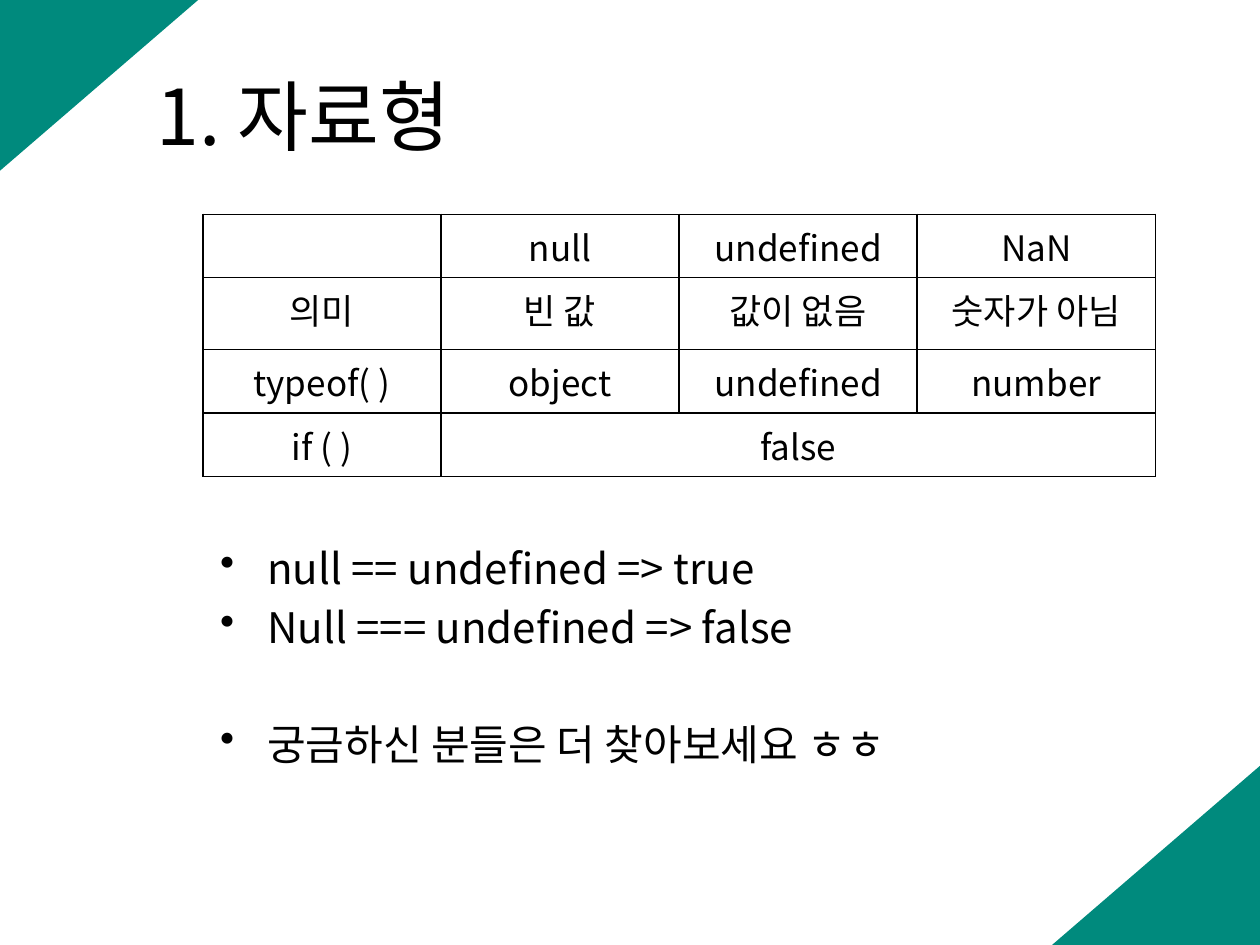
import pptx
import pptx.util
import pptx.dml.color
import pptx.enum.shapes
import pptx.enum.text
import pptx.oxml
import pptx.oxml.ns
import lxml.etree

Cm, Pt = pptx.util.Cm, pptx.util.Pt
qn = pptx.oxml.ns.qn
FONT = "Noto Sans CJK KR"


def color(value):
    return pptx.dml.color.RGBColor.from_string(value)


def write(p, text, size, align):
    p.text = text
    p.alignment = align
    p.font.size = Pt(size)
    p.font.name = FONT
    p.font.color.rgb = color("000000")
    props = p._p.pPr.find(qn("a:defRPr"))
    lxml.etree.SubElement(props, qn("a:ea")).set("typeface", FONT)


prs = pptx.Presentation()
prs.slide_width, prs.slide_height = Cm(25.4), Cm(19.05)
s = prs.slides.add_slide(prs.slide_layouts[5])
LEFT = pptx.enum.text.PP_ALIGN.LEFT
CENTER = pptx.enum.text.PP_ALIGN.CENTER

for x, y, flip in [(-0.1, -0.08, "flipV"), (21.21, 15.44, "flipH")]:
    sp = s.shapes.add_shape(pptx.enum.shapes.MSO_SHAPE.RIGHT_TRIANGLE,
                            Cm(x), Cm(y), Cm(4.19), Cm(3.61))
    sp._element.spPr.find(qn("a:xfrm")).set(flip, "1")
    sp.shadow.inherit = False
    sp.fill.solid()
    sp.fill.fore_color.rgb = color("008A7D")
    sp.line.fill.background()

title = s.shapes.title
title.left, title.top, title.width, title.height = Cm(2.9), Cm(1.32), Cm(15.19), Cm(1.98)
tf = title.text_frame
tf.vertical_anchor = pptx.enum.text.MSO_ANCHOR.MIDDLE
write(tf.paragraphs[0], "1. 자료형", 44, LEFT)

rows = [
    ["", "null", "undefined", "NaN"],
    ["의미", "빈 값", "값이 없음", "숫자가 아님"],
    ["typeof( )", "object", "undefined", "number"],
    ["if ( )", "false", "", ""],
]
table = s.shapes.add_table(4, 4, Cm(4.09), Cm(4.32), Cm(19.2), Cm(5.21)).table
table.first_row = table.horz_banding = False
for column in table.columns:
    column.width = Cm(4.8)
for row, height in zip(table.rows, [1.27, 1.45, 1.27, 1.27]):
    row.height = Cm(height)
table.cell(3, 1).merge(table.cell(3, 3))
for i, texts in enumerate(rows):
    for j, text in enumerate(texts):
        cell = table.cell(i, j)
        write(cell.text_frame.paragraphs[0], text, 20, CENTER)
        tc_pr = cell._tc.get_or_add_tcPr()
        for side in ["lnL", "lnR", "lnT", "lnB"]:
            ln = lxml.etree.SubElement(tc_pr, qn("a:" + side), w=str(Pt(1)))
            fill = lxml.etree.SubElement(ln, qn("a:solidFill"))
            lxml.etree.SubElement(fill, qn("a:srgbClr"), val="000000")
        cell.fill.background()

tf = s.shapes.add_textbox(Cm(4.19), Cm(10.72), Cm(15.11), Cm(6.07)).text_frame
tf.word_wrap = True
tf.margin_top = Cm(0.05)
notes = [
    ("null == undefined => true", 0),
    ("Null === undefined => false", 0),
    ("궁금하신 분들은 더 찾아보세요 ㅎㅎ", 33.5),
]
for i, (text, before) in enumerate(notes):
    p = tf.add_paragraph() if i else tf.paragraphs[0]
    p.line_spacing = Pt(33.5)
    p.space_before = Pt(before)
    write(p, text, 24, LEFT)
    p_pr = p._p.pPr
    p_pr.set("marL", str(Cm(0.95)))
    p_pr.set("indent", str(Cm(-0.95)))
    bullet = pptx.oxml.parse_xml('<a:buChar %s char="•"/>' % pptx.oxml.ns.nsdecls("a"))
    p_pr.find(qn("a:defRPr")).addprevious(bullet)

prs.save("out.pptx")
